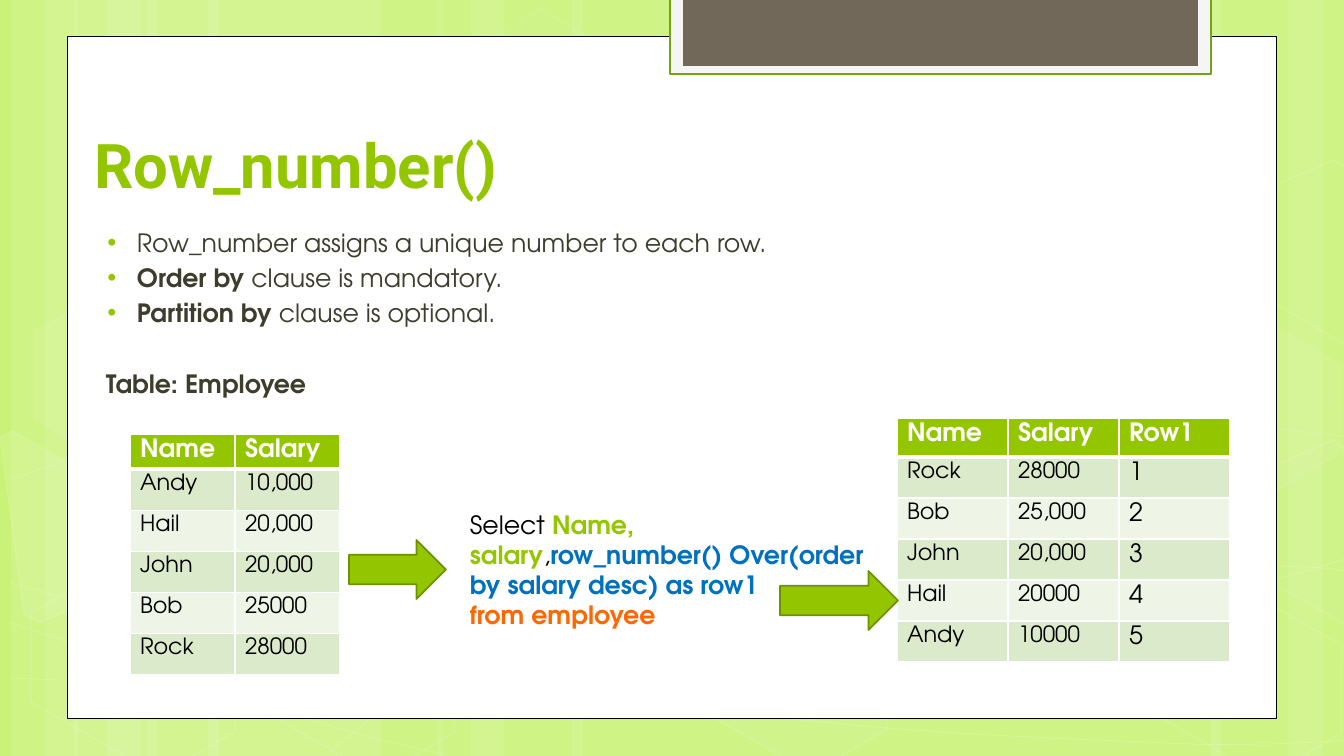
from lxml.etree import SubElement
from pptx import Presentation
from pptx.dml.color import RGBColor
from pptx.enum.shapes import MSO_SHAPE
from pptx.enum.text import MSO_ANCHOR, PP_ALIGN
from pptx.oxml.ns import qn
from pptx.util import Emu, Pt

PX = 914400 / 100.8
FACE = "TeX Gyre Adventor"
HUE = dict(back="CAF278", white="FFFFFF", black="000000", lime="94C600", moss="6D9200",
           pale="F5F5F5", edge="74A510", stone="71685A", ink="3E3D2D",
           odd="DCEACC", even="EEF5E7", blue="0070C0", orange="FF6700")

TITLE = "Row_number()"
POINTS = [
    (True, 0, [("Row_number assigns a unique number to each row.", "ink", False)]),
    (True, 3.6, [("Order by ", "ink", True), ("clause is mandatory.", "ink", False)]),
    (True, 3.6, [("Partition by ", "ink", True), ("clause is optional.", "ink", False)]),
    (False, 28.8, [("Table: Employee", "ink", True)]),
]
QUERY = [
    (False, 0, [("Select ", "black", False), ("Name, salary", "lime", True), (",", "black", False),
                ("row_number() Over(order by salary desc) as row1 ", "blue", True)]),
    (False, 0, [("from employee", "orange", True)]),
]
TABLES = [
    ((130, 434), 105, 33, [("Name", "Salary"), ("Andy", "10,000"), ("Hail", "20,000"),
                           ("John", "20,000"), ("Bob", "25000"), ("Rock", "28000")]),
    ((897, 418), 111, 39, [("Name", "Salary", "Row1"), ("Rock", "28000", "1"),
                           ("Bob", "25,000", "2"), ("John", "20,000", "3"),
                           ("Hail", "20000", "4"), ("Andy", "10000", "5")]),
]
ARROWS = [(349, 540, 97, 59), (780, 571, 118, 59)]
STRIPS = [(146, 235), (11, 67), (45, 112), (208, 235), (74, 67), (107, 112),
          (986, 235), (1288, 67), (1210, 112), (572, 414), (437, 67), (471, 112)]
CURVES = [
    [(10, 678), (83, 681), (155, 684), (256, 683), (357, 682), (481, 680), (615, 670),
     (750, 660), (941, 641), (1063, 622), (1187, 603), (1313, 573), (1354, 555)],
    [(10, 481), (48, 465), (87, 450), (163, 434), (240, 419), (348, 397), (467, 390),
     (587, 383), (730, 382), (879, 390), (1027, 398), (1273, 429), (1354, 437)],
    [(8, 622), (170, 677), (333, 733), (450, 755)],
    [(10, 583), (51, 594), (94, 605), (172, 621), (250, 636), (367, 661), (479, 678),
     (591, 696), (733, 714), (844, 724), (956, 735), (1075, 739), (1146, 742),
     (1217, 746), (1235, 744), (1270, 744), (1304, 743), (1330, 741), (1354, 740)],
    [(326, 755), (350, 735), (373, 715), (406, 697), (438, 678), (484, 658), (521, 644),
     (558, 630), (582, 624), (631, 614), (680, 604), (771, 590), (817, 583),
     (865, 576), (872, 576), (914, 574), (955, 570), (1021, 568), (1067, 566),
     (1114, 565), (1191, 566), (1191, 566), (1191, 566), (1280, 566), (1280, 566),
     (1305, 567), (1328, 568), (1340, 570), (1352, 571), (1348, 570), (1352, 571)],
]
HEXES = [(449, 36, 4, 8), (667, 594, 6, 12), (15, 596, 0, 12), (19, 314, 7, 8),
         (234, 597, 0, 12), (1121, 598, 0, 12), (1121, 317, 7, 8)]
SHARDS = [
    (10, [(0, 437), (13, 431), (116, 491), (128, 586), (39, 623), (24, 614)]),
    (4, [(1245, 478), (1334, 440), (1343, 447), (1368, 630), (1360, 633), (1257, 574)]),
    (0, [(1245, 198), (1334, 160), (1345, 166), (1368, 349), (1360, 353), (1257, 293)]),
]
PANELS = [((67, 36, 1209, 682), "white", ("black", 0.5)),
          ((670, -2, 541, 76), "pale", ("edge", 1.25)),
          ((683, -2, 515, 68), "stone", None)]


def px(*vals):
    return [Emu(round(v * PX)) for v in vals]


def rgb(name):
    return RGBColor.from_string(HUE[name])


def fade(node, alpha):
    color = node.find(qn("a:solidFill")).find(qn("a:srgbClr"))
    SubElement(color, qn("a:alpha"), val=str(alpha * 1000))


def paint(shape, fill=None, line=None, clear=100, faint=100):
    shape.shadow.inherit = False
    props = shape._element.spPr
    if fill and clear:
        shape.fill.solid()
        shape.fill.fore_color.rgb = rgb(fill)
        if clear < 100:
            fade(props, clear)
    else:
        shape.fill.background()
    if line:
        shape.line.color.rgb = rgb(line[0])
        shape.line.width = Pt(line[1])
        if faint < 100:
            fade(props.find(qn("a:ln")), faint)
    else:
        shape.line.fill.background()


def add(kind, box):
    return slide.shapes.add_shape(kind, *px(*box))


def trace(dots, close):
    pen = slide.shapes.build_freeform(*dots[0], scale=PX)
    pen.add_line_segments(dots[1:], close=close)
    return pen.convert_to_shape()


def bend(dots):
    shape = trace(dots, False)
    legs = list(shape._element.iter(qn("a:lnTo")))
    track = legs[0].getparent()
    for i in range(0, len(legs), 3):
        curve = SubElement(track, qn("a:cubicBezTo"))
        for leg in legs[i:i + 3]:
            curve.append(leg[0])
            track.remove(leg)
    return shape


def style(run, color, size, bold, name=FACE):
    for key, val in dict(name=name, size=Pt(size), bold=bold).items():
        setattr(run.font, key, val)
    run.font.color.rgb = rgb(color)


def write(box, paras, left=0):
    frame = slide.shapes.add_textbox(*px(*box)).text_frame
    frame.word_wrap = True
    for i, (mark, gap, runs) in enumerate(paras):
        para = frame.add_paragraph() if i else frame.paragraphs[0]
        para.space_before = Pt(gap)
        props = para._p.get_or_add_pPr()
        inset, hang = px(38, -30) if mark else px(left, 0)
        props.set("marL", str(inset))
        props.set("indent", str(hang))
        if mark:
            tint = SubElement(props, qn("a:buClr"))
            SubElement(tint, qn("a:srgbClr"), val=HUE["lime"])
            SubElement(props, qn("a:buSzPct"), val="76000")
            SubElement(props, qn("a:buFont"), typeface=FACE)
            SubElement(props, qn("a:buChar"), char="•")
        for text, color, bold in runs:
            run = para.add_run()
            run.text = text
            style(run, color, 18, bold)


def border(cell, head):
    props = cell._tc.get_or_add_tcPr()
    for side in "LRTB":
        wide = 3 if head and side == "B" else 1
        edge = SubElement(props, qn("a:ln" + side), w=str(Pt(wide)))
        SubElement(SubElement(edge, qn("a:solidFill")), qn("a:srgbClr"), val=HUE["white"])


def grid(spot, wide, top, rows, high=41):
    count = len(rows[0])
    size = (wide * count, top + high * (len(rows) - 1))
    table = slide.shapes.add_table(len(rows), count, *px(*spot, *size)).table
    for col in table.columns:
        col.width = px(wide)[0]
    for r, row in enumerate(rows):
        table.rows[r].height = px(high if r else top)[0]
        for c, text in enumerate(row):
            cell = table.cell(r, c)
            border(cell, r == 0)
            cell.margin_top, cell.margin_bottom = px(5, 0)
            cell.fill.solid()
            cell.fill.fore_color.rgb = rgb(("odd" if r % 2 else "even") if r else "lime")
            run = cell.text_frame.paragraphs[0].add_run()
            run.text = text
            style(run, "black" if r else "white", 16 if r and c < 2 else 18, r == 0)


deck = Presentation()
deck.slide_width, deck.slide_height = px(1344, 756)
slide = deck.slides.add_slide(deck.slide_layouts[5])
slide.background.fill.solid()
slide.background.fill.fore_color.rgb = rgb("back")
title = slide.shapes.title

for left, wide in STRIPS:
    paint(add(MSO_SHAPE.RECTANGLE, (left, 0, wide, 756)), "white", clear=10)
for dots in CURVES:
    paint(bend(dots), line=("white", 0.5), faint=20)
for left, top, clear, faint in HEXES:
    cell = add(MSO_SHAPE.HEXAGON, (left, top, 236, 153))
    cell.adjustments[0] = 0.285
    cell.rotation = 30
    paint(cell, "white", ("white", 1), clear, faint)
for clear, dots in SHARDS:
    paint(trace(dots, True), "white", ("white", 1), clear, 12)
for box, fill, line in PANELS:
    paint(add(MSO_SHAPE.RECTANGLE, box), fill, line)

base = slide.slide_layout.shapes._spTree
for i, shape in enumerate(list(slide.shapes)[1:]):
    shape._element.nvSpPr.cNvPr.set("id", str(100 + i))
    base.append(shape._element)

for key, val in zip(("left", "top", "width", "height"), px(84, 80, 1100, 126)):
    setattr(title, key, val)
title.text_frame.text = TITLE
title.text_frame.vertical_anchor = MSO_ANCHOR.BOTTOM
title.text_frame.paragraphs[0].alignment = PP_ALIGN.LEFT
style(title.text_frame.paragraphs[0].runs[0], "lime", 44, True, "Roboto")

write((89, 222, 1073, 474), POINTS, 7)
for item in TABLES:
    grid(*item)
write((460, 504, 417, 132), QUERY)
for box in ARROWS:
    paint(add(MSO_SHAPE.RIGHT_ARROW, box), "lime", ("moss", 1.25))

deck.save("out.pptx")
